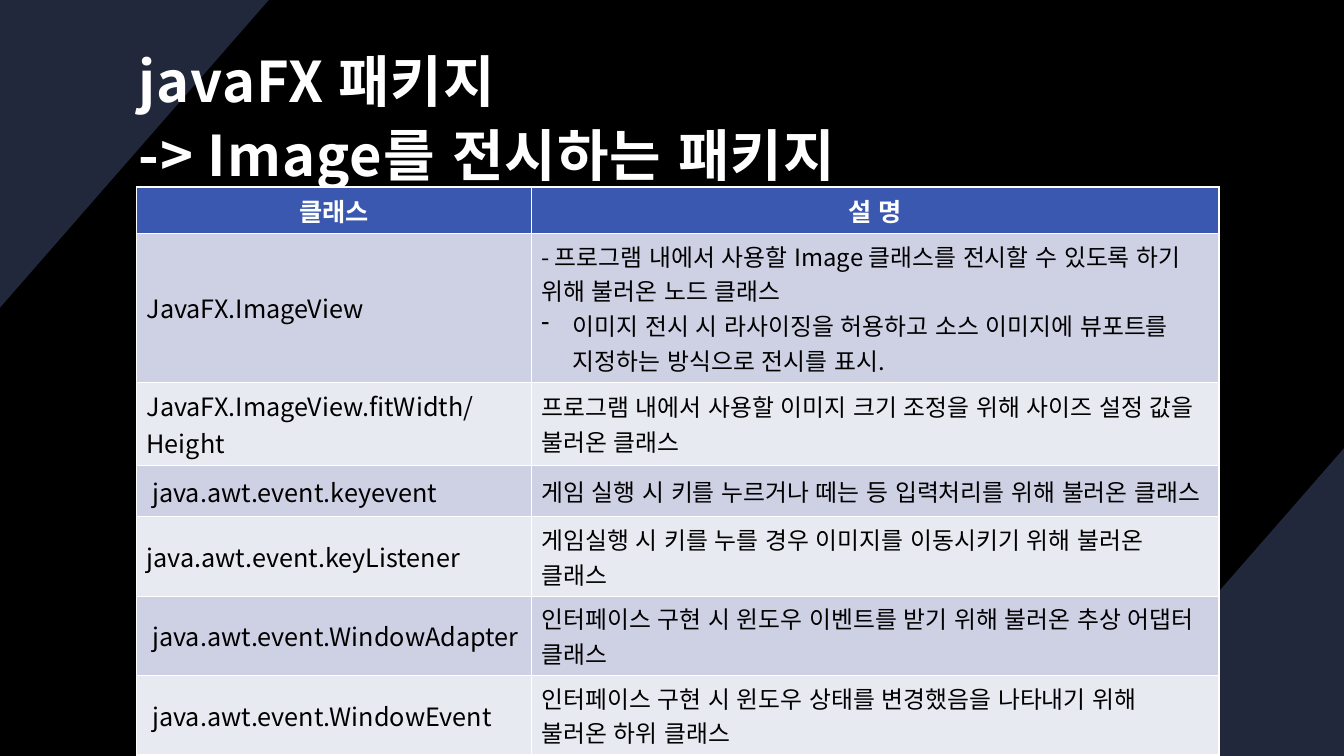
from dataclasses import dataclass

from lxml import etree
from pptx import Presentation
from pptx import util as u
from pptx.dml.color import RGBColor
from pptx.enum import text
from pptx.oxml import ns

PX = 9525  # EMU in one px, 96 px to the inch
WIDTH, HEIGHT = 1280, 720


@dataclass(frozen=True)
class Theme:
    font: str = "Noto Sans CJK KR"
    back: str = "000000"
    corner: str = "22283C"
    light: str = "FFFFFF"
    dark: str = "000000"
    header: str = "3B58B1"
    bands: tuple = ("CED1E4", "E8EAF2")
    title_size: int = 40
    name_size: int = 18
    note_size: int = 17


TITLE = "javaFX 패키지\n-> Image를 전시하는 패키지"
HEADERS = ("클래스", "설 명")
COLUMN_WIDTHS = (376, 655)
ROW_HEIGHTS = (37, 49, 49, 49, 49, 58, 60)
BULLET = "• "  # marks a paragraph that gets a hanging dash
CLASSES = [
    ("JavaFX.ImageView",
     ["- 프로그램 내에서 사용할 Image 클래스를 전시할 수 있도록 하기 위해 불러온 노드 클래스",
      BULLET + "이미지 전시 시 라사이징을 허용하고 소스 이미지에 뷰포트를 지정하는 방식으로 전시를 표시."]),
    ("JavaFX.ImageView.fitWidth/Height",
     ["프로그램 내에서 사용할 이미지 크기 조정을 위해 사이즈 설정 값을 불러온 클래스"]),
    (" java.awt.event.keyevent",
     ["게임 실행 시 키를 누르거나 떼는 등 입력처리를 위해 불러온 클래스"]),
    ("java.awt.event.keyListener",
     ["게임실행 시 키를 누를 경우 이미지를 이동시키기 위해 불러온 클래스"]),
    (" java.awt.event.WindowAdapter",
     ["인터페이스 구현 시 윈도우 이벤트를 받기 위해 불러온 추상 어댑터 클래스"]),
    (" java.awt.event.WindowEvent",
     ["인터페이스 구현 시 윈도우 상태를 변경했음을 나타내기 위해 불러온 하위 클래스"]),
]


def rgb(value):
    return RGBColor.from_string(value)


def paint(fill, color):
    fill.solid()
    fill.fore_color.rgb = rgb(color)


def hang_dash(p, indent=30):
    pPr = p._p.get_or_add_pPr()
    pPr.set("marL", str(indent * PX))
    pPr.set("indent", str(-indent * PX))
    etree.SubElement(pPr, ns.qn("a:buFontTx"))
    etree.SubElement(pPr, ns.qn("a:buChar")).set("char", "-")


def write(p, words, *, font, size, color, bold=False, tracking=0,
          align=text.PP_ALIGN.LEFT, spacing=None):
    """Fill a paragraph; a newline in the words becomes a line break."""
    p.alignment = align
    if spacing:
        p.line_spacing = spacing
    for i, line in enumerate(words.split("\n")):
        if i:
            p.add_line_break()
        r = p.add_run()
        r.text = line
        r.font.name = font
        r.font.size = u.Pt(size)
        r.font.bold = bold
        r.font.color.rgb = rgb(color)
        rPr = r.font._element
        rPr.set("lang", "ko-KR")
        if tracking:
            rPr.set("spc", str(tracking))
        etree.SubElement(rPr, ns.qn("a:ea")).set("typeface", font)


class Deck:
    def __init__(self, theme):
        self.theme = theme
        self.prs = Presentation()
        self.prs.slide_width = WIDTH * PX
        self.prs.slide_height = HEIGHT * PX
        self.s = self.prs.slides.add_slide(self.prs.slide_layouts[5])
        paint(self.s.background.fill, theme.back)

    def corner(self, points):
        builder = self.s.shapes.build_freeform(*points[0], scale=PX)
        builder.add_line_segments(points[1:], close=True)
        sp = builder.convert_to_shape()
        sp.shadow.inherit = False
        paint(sp.fill, self.theme.corner)
        sp.line.fill.background()

    def title(self, words, left, top, width, height):
        sp = self.s.shapes.title
        sp.left, sp.top, sp.width, sp.height = (
            n * PX for n in (left, top, width, height))
        sp.element.getparent().append(sp.element)  # in front of the corners
        tf = sp.text_frame
        tf.word_wrap = True
        tf.auto_size = text.MSO_AUTO_SIZE.NONE
        tf.vertical_anchor = text.MSO_ANCHOR.MIDDLE
        tf.margin_left = tf.margin_top = tf.margin_right = 12 * PX
        tf.margin_bottom = 10 * PX
        write(tf.paragraphs[0], words, font=self.theme.font,
              size=self.theme.title_size, color=self.theme.light,
              bold=True, tracking=70, spacing=1.1)

    def cell(self, cell, paragraphs, fill, anchor, **style):
        paint(cell.fill, fill)
        cell.vertical_anchor = anchor
        tf = cell.text_frame
        for i, words in enumerate(paragraphs):
            p = tf.add_paragraph() if i else tf.paragraphs[0]
            write(p, words.removeprefix(BULLET), font=self.theme.font, **style)
            if words.startswith(BULLET):
                hang_dash(p)

    def class_table(self, left, top, height):
        t = self.theme
        frame = self.s.shapes.add_table(
            len(ROW_HEIGHTS), len(COLUMN_WIDTHS), left * PX, top * PX,
            sum(COLUMN_WIDTHS) * PX, height * PX)
        table = frame.table
        for column, width in zip(table.columns, COLUMN_WIDTHS):
            column.width = width * PX
        for row, row_height in zip(table.rows, ROW_HEIGHTS):
            row.height = row_height * PX
        frame.height = height * PX

        for c, words in enumerate(HEADERS):
            self.cell(table.cell(0, c), [words], t.header, text.MSO_ANCHOR.TOP,
                      size=t.name_size, color=t.light, bold=True,
                      align=text.PP_ALIGN.CENTER)
        for i, (name, notes) in enumerate(CLASSES):
            columns = (([name], t.name_size), (notes, t.note_size))
            for c, (paragraphs, size) in enumerate(columns):
                self.cell(table.cell(i + 1, c), paragraphs, t.bands[i % 2],
                          text.MSO_ANCHOR.MIDDLE, size=size, color=t.dark)


def main():
    deck = Deck(Theme())
    across, down = 256, 293
    deck.corner([(WIDTH, HEIGHT - down), (WIDTH, HEIGHT), (WIDTH - across, HEIGHT)])
    deck.corner([(0, down), (0, 0), (across, 0)])
    deck.title(TITLE, 120, 36, 1040, 143)
    deck.class_table(130, 178, 480)
    deck.prs.save("out.pptx")


if __name__ == "__main__":
    main()
